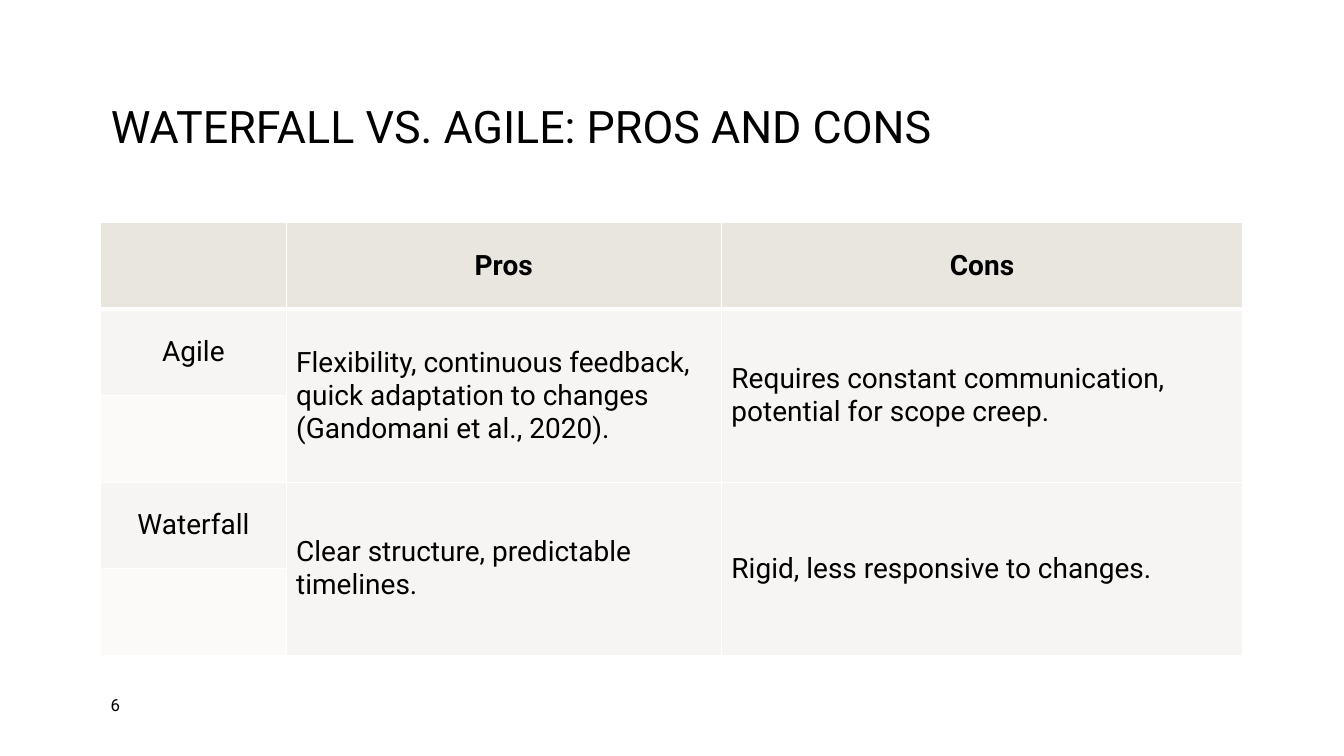
import pptx
import pptx.dml.color
import pptx.enum.text
import pptx.oxml
import pptx.oxml.ns
import pptx.util

Cm = pptx.util.Cm
ALIGN = pptx.enum.text.PP_ALIGN
MIDDLE = pptx.enum.text.MSO_ANCHOR.MIDDLE

LEFT = 2.54
WIDTH = 28.78
ROW_HEIGHT = 2.18
COLUMN_WIDTHS = (4.67, 10.97, 13.14)
HEADINGS = ("", "Pros", "Cons")
METHODS = (
    ("Agile",
     "Flexibility, continuous feedback, quick adaptation to changes (Gandomani et al., 2020).",
     "Requires constant communication, potential for scope creep."),
    ("Waterfall",
     "Clear structure, predictable timelines.",
     "Rigid, less responsive to changes."),
)


def color(hex_string):
    return pptx.dml.color.RGBColor.from_string(hex_string)


class ComparisonSlide:
    font_name = "Roboto"
    text_color = "000000"
    border_color = "FFFFFF"
    header_fill = "E9E6DF"
    cell_fill = "F7F5F3"
    blank_fill = "FBFAF9"

    def __init__(self, presentation):
        self.slide = presentation.slides.add_slide(presentation.slide_layouts[5])

    def set_text(self, text_frame, text, size, align=ALIGN.LEFT, bold=False):
        text_frame.text = text
        paragraph = text_frame.paragraphs[0]
        paragraph.alignment = align
        paragraph.font.name = self.font_name
        paragraph.font.size = pptx.util.Pt(size)
        paragraph.font.bold = bold
        paragraph.font.color.rgb = color(self.text_color)
        return paragraph

    def add_title(self, text, top, height):
        title = self.slide.shapes.title
        title.left, title.top = Cm(LEFT), Cm(top)
        title.width, title.height = Cm(WIDTH), Cm(height)
        title.text_frame.auto_size = pptx.enum.text.MSO_AUTO_SIZE.NONE
        title.text_frame.vertical_anchor = MIDDLE
        self.set_text(title.text_frame, text, 32).line_spacing = 0.9

    def add_slide_number(self, number, top, width, height):
        box = self.slide.shapes.add_textbox(Cm(LEFT), Cm(top), Cm(width), Cm(height))
        box.text_frame.word_wrap = True
        box.text_frame.vertical_anchor = MIDDLE
        self.set_text(box.text_frame, str(number), 12)

    def set_borders(self, cell, top=1, bottom=1):
        """Draw the four cell borders, with widths in points."""
        properties = cell._tc.get_or_add_tcPr()
        widths = {"lnL": 1, "lnR": 1, "lnT": top, "lnB": bottom}
        for index, (side, width) in enumerate(widths.items()):
            properties.insert(index, pptx.oxml.parse_xml(
                f'<a:{side} {pptx.oxml.ns.nsdecls("a")} w="{pptx.util.Pt(width)}">'
                f'<a:solidFill><a:srgbClr val="{self.border_color}"/></a:solidFill>'
                f'</a:{side}>'))

    def fill_cell(self, cell, text, fill, align=ALIGN.LEFT, bold=False):
        cell.fill.solid()
        cell.fill.fore_color.rgb = color(fill)
        cell.vertical_anchor = MIDDLE
        self.set_text(cell.text_frame, text, 20, align, bold)

    def add_comparison(self, top):
        """Add the table, with two rows per method and merged pros and cons."""
        row_count = 1 + 2 * len(METHODS)
        table = self.slide.shapes.add_table(
            row_count, len(HEADINGS), Cm(LEFT), Cm(top),
            Cm(WIDTH), Cm(ROW_HEIGHT * row_count)).table
        table.first_row = table.horz_banding = False
        for column, width in zip(table.columns, COLUMN_WIDTHS):
            column.width = Cm(width)
        for row in table.rows:
            row.height = Cm(ROW_HEIGHT)

        for column, heading in enumerate(HEADINGS):
            self.fill_cell(table.cell(0, column), heading, self.header_fill,
                           ALIGN.CENTER, bold=True)
        for index, (name, *points) in enumerate(METHODS):
            row = 1 + 2 * index
            self.fill_cell(table.cell(row, 0), name, self.cell_fill, ALIGN.CENTER)
            self.fill_cell(table.cell(row + 1, 0), "", self.blank_fill)
            for column, point in enumerate(points, start=1):
                cell = table.cell(row, column)
                cell.merge(table.cell(row + 1, column))
                self.fill_cell(cell, point, self.cell_fill)

        for row in range(row_count):
            for column in range(len(HEADINGS)):
                self.set_borders(table.cell(row, column),
                                 top=3 if row == 1 else 1,
                                 bottom=3 if row == 0 else 1)


def main():
    presentation = pptx.Presentation()
    presentation.slide_width = Cm(33.87)
    presentation.slide_height = Cm(19.05)
    slide = ComparisonSlide(presentation)
    slide.add_title("WATERFALL VS. AGILE: PROS AND CONS", top=1.02, height=4.45)
    slide.add_comparison(top=5.61)
    slide.add_slide_number(6, top=17.35, width=1.75, height=0.81)
    presentation.save("out.pptx")


if __name__ == "__main__":
    main()
